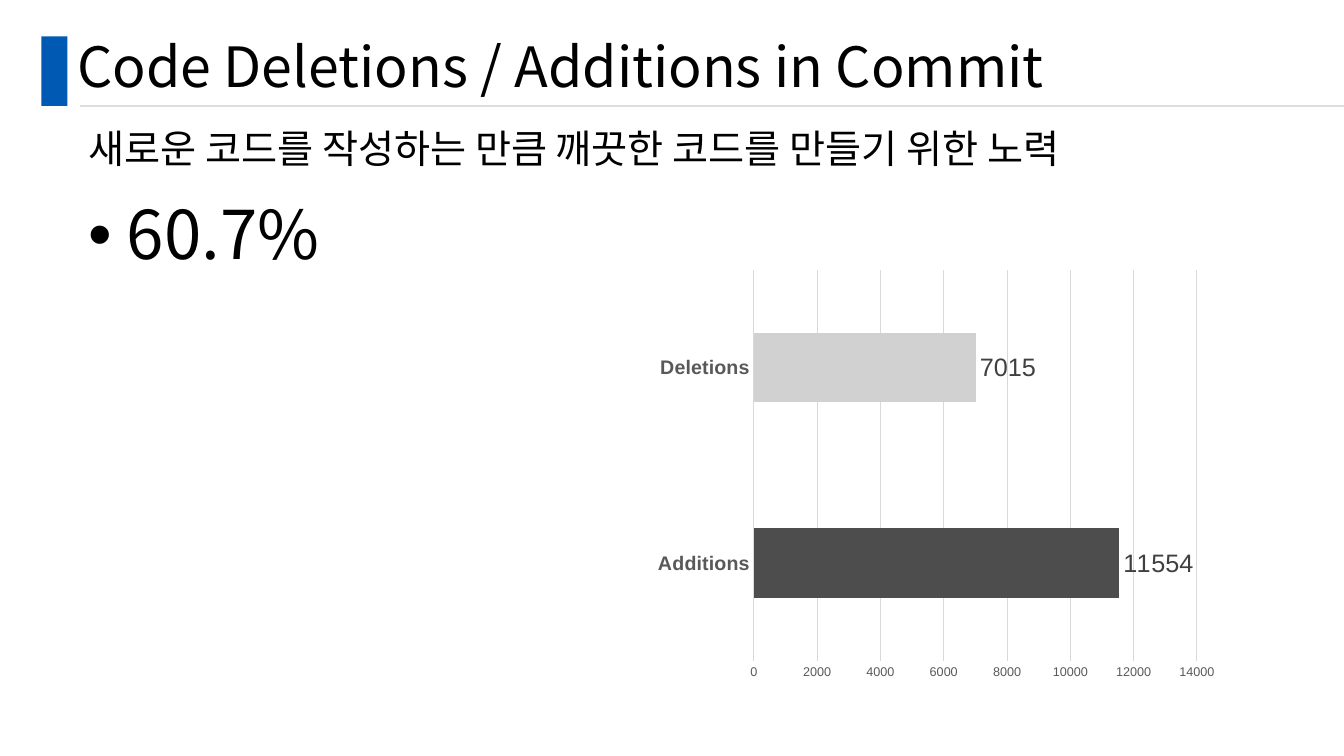
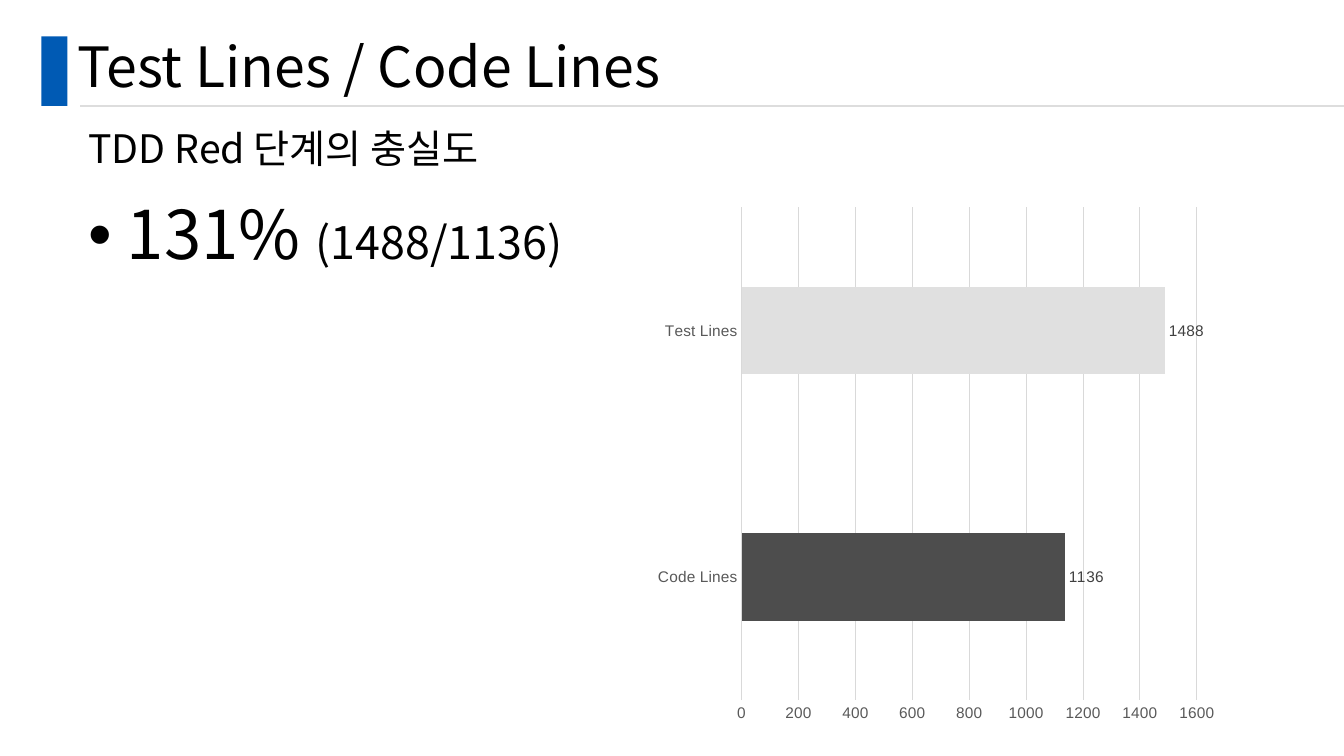
from collections import namedtuple

from pptx import Presentation
from pptx import util as u
from pptx.chart.data import CategoryChartData
from pptx.dml.color import RGBColor
from pptx.enum import chart as ch, shapes, text
from pptx.oxml.ns import qn

FONT, CHART_FONT = "Noto Sans CJK KR", "Arial"
BLACK, BLUE, RULE = "000000", "005AB4", "DDDDDD"
GRID, AXIS_TEXT, LABEL_TEXT = "D9D9D9", "595959", "404040"
DARK = "4D4D4D"


class Box(namedtuple("Box", "x y w h")):
    """A rectangle in EMU."""

    def inset(self, x, y, w, h):
        """Return an inner box given in percent of this one."""
        return Box(int(self.x + x * self.w / 100), int(self.y + y * self.h / 100),
                   int(w * self.w / 100), int(h * self.h / 100))


def rgb(color):
    """Turn a hex string into a colour."""
    return RGBColor.from_string(color)


def set_font(font, size, color, name=CHART_FONT, bold=False):
    """Format a font."""
    font.size, font.name, font.bold = u.Pt(size), name, bold
    font.color.rgb = rgb(color)


def add_text(s, box, runs, anchor=text.MSO_ANCHOR.TOP, margin=0, indent=0, bullet=None):
    """Add one paragraph made of (wording, size) runs."""
    tf = s.shapes.add_textbox(*box).text_frame
    tf.word_wrap, tf.vertical_anchor = True, anchor
    p = tf.paragraphs[0]
    p.line_spacing = 0.9
    ppr = p._p.get_or_add_pPr()
    ppr.set("marL", str(u.Inches(margin)))
    ppr.set("indent", str(u.Inches(indent)))
    if bullet:
        ppr.append(ppr.makeelement(qn("a:buFont"), {"typeface": CHART_FONT}))
        ppr.append(ppr.makeelement(qn("a:buChar"), {"char": bullet}))
    for wording, size in runs:
        r = p.add_run()
        r.text = wording
        set_font(r.font, size, BLACK, FONT)
        rpr = r._r.get_or_add_rPr()
        rpr.append(rpr.makeelement(qn("a:ea"), {"typeface": FONT}))


def add_header(s, box, title):
    """Draw the blue band, the rule and the title."""
    sp = s.shapes.add_shape(shapes.MSO_SHAPE.RECTANGLE, *box.inset(0, 3, 2, 97))
    sp.shadow.inherit = False
    sp.fill.solid()
    sp.fill.fore_color.rgb = rgb(BLUE)
    sp.line.fill.background()
    rule = box.inset(3, 100, 97, 0)
    line = s.shapes.add_connector(shapes.MSO_CONNECTOR.STRAIGHT, rule.x, rule.y,
                                  rule.x + rule.w, rule.y)
    line.line.color.rgb, line.line.width = rgb(RULE), u.Pt(1.5)
    sppr = line._element.spPr
    sppr.append(sppr.makeelement(qn("a:effectLst"), {}))
    add_text(s, box.inset(2, 0, 89, 100), [(title, 39.6)], text.MSO_ANCHOR.MIDDLE)


def add_bars(s, box, values, colors, top, step, value_size, category_size, label_size,
             bold=False):
    """Draw a bar chart with one coloured bar for each category."""
    data = CategoryChartData()
    data.categories = list(values)
    data.add_series("Series 1", list(values.values()))
    chart = s.shapes.add_chart(ch.XL_CHART_TYPE.BAR_CLUSTERED, *box, data).chart
    chart.has_legend = chart.has_title = False
    set_font(chart.font, value_size, BLACK)

    cat, val = chart.category_axis, chart.value_axis
    for axis, size in ((cat, category_size), (val, value_size)):
        axis.major_tick_mark = axis.minor_tick_mark = ch.XL_TICK_MARK.NONE
        set_font(axis.tick_labels.font, size, AXIS_TEXT, bold=bold and axis is cat)
    val.minimum_scale, val.maximum_scale, val.major_unit = 0, top, step
    val.has_major_gridlines = True
    val.format.line.fill.background()
    for fmt in (cat.format, val.major_gridlines.format):
        fmt.line.color.rgb, fmt.line.width = rgb(GRID), u.Pt(0.75)

    plot = chart.plots[0]
    plot.gap_width, plot.vary_by_categories = 182, False
    plot.has_data_labels = True
    labels = plot.data_labels
    labels.show_value, labels.position = True, ch.XL_LABEL_POSITION.OUTSIDE_END
    set_font(labels.font, label_size, LABEL_TEXT)
    for i, color in enumerate(colors):
        fill = plot.series[0].points[i].format.fill
        fill.solid()
        fill.fore_color.rgb = rgb(color)


def add_metric(prs, title, lead, figure, chart_rows, **bars):
    """Add a slide with a lead line, a key figure and a bar chart."""
    s = prs.slides.add_slide(prs.slide_layouts[6])
    page = Box(0, 0, prs.slide_width, prs.slide_height)
    add_header(s, page.inset(3.08, 4.53, 96.92, 9.47), title)
    add_text(s, page.inset(4.95, 16.53, 86.27, 8.13), [(lead, 28)], margin=0.12)
    add_text(s, page.inset(4.95, 26, 40.59, 69.47), figure,
             margin=0.5, indent=-0.38, bullet="•")
    top, height = chart_rows
    add_bars(s, page.inset(48.09, top, 43.14, height), **bars)


def main():
    """Build the deck."""
    prs = Presentation()
    prs.slide_width, prs.slide_height = u.Inches(13.33), u.Inches(7.5)
    add_metric(prs, "Code Deletions / Additions in Commit",
               "새로운 코드를 작성하는 만큼 깨끗한 코드를 만들기 위한 노력",
               [("60.7%", 48)], (34.53, 56.53),
               values={"Additions": 11554, "Deletions": 7015}, colors=(DARK, "D1D1D1"),
               top=14000, step=2000, value_size=9, category_size=14, label_size=18,
               bold=True)
    add_metric(prs, "Test Lines / Code Lines", "TDD Red 단계의 충실도",
               [("131% ", 48), ("(1488/1136)", 32)], (26, 70.93),
               values={"Code Lines": 1136, "Test Lines": 1488}, colors=(DARK, "E0E0E0"),
               top=1600, step=200, value_size=11, category_size=11, label_size=11)
    prs.save("out.pptx")


if __name__ == "__main__":
    main()
